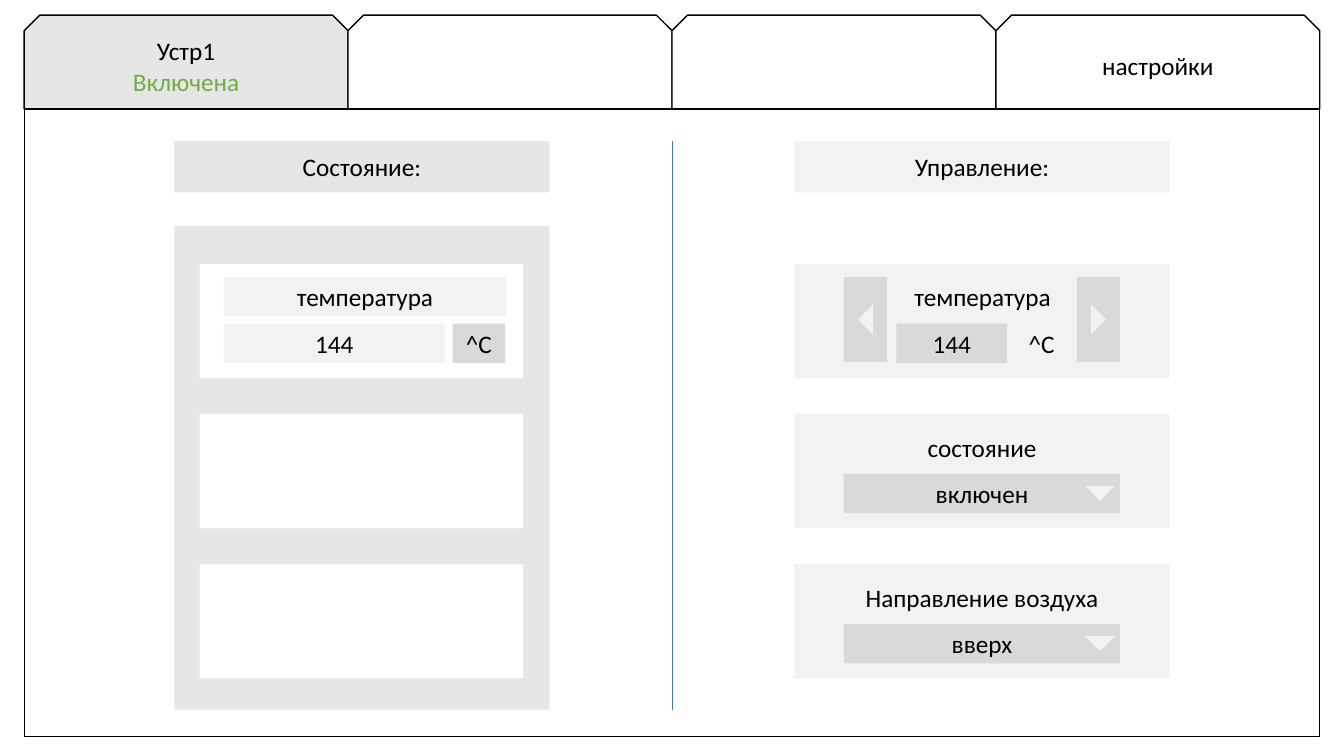
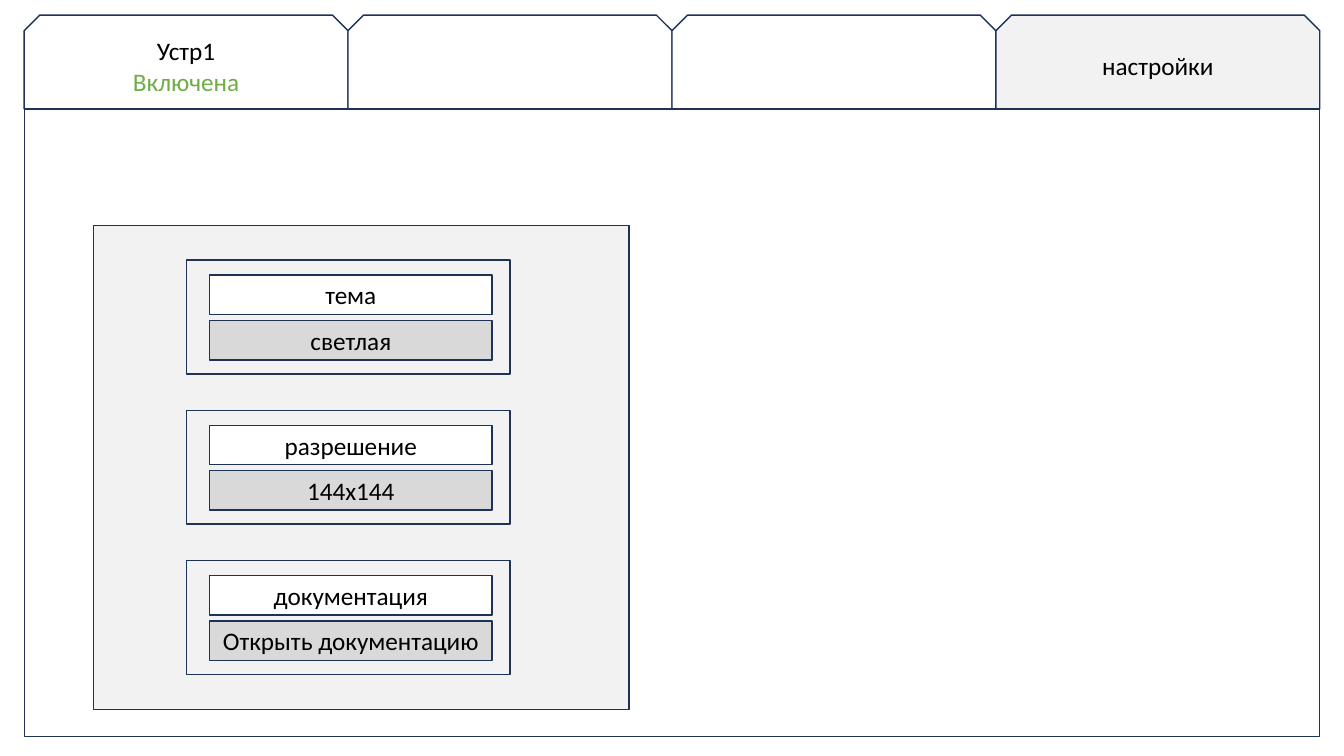
from pptx import Presentation
from pptx.dml.color import RGBColor
from pptx.enum.shapes import MSO_CONNECTOR, MSO_SHAPE
from pptx.enum.text import MSO_ANCHOR, PP_ALIGN
from pptx.util import Inches, Pt
from lxml import etree

RECTANGLE = MSO_SHAPE.RECTANGLE
TAB = MSO_SHAPE.SNIP_2_SAME_RECTANGLE
TRIANGLE = MSO_SHAPE.ISOSCELES_TRIANGLE
STRAIGHT = MSO_CONNECTOR.STRAIGHT
MIDDLE = MSO_ANCHOR.MIDDLE
CENTER = PP_ALIGN.CENTER

BLACK = RGBColor(0x00, 0x00, 0x00)
WHITE = RGBColor(0xFF, 0xFF, 0xFF)
PALE = RGBColor(0xF2, 0xF2, 0xF2)
LIGHT = RGBColor(0xE6, 0xE6, 0xE6)
GRAY = RGBColor(0xD9, 0xD9, 0xD9)
NAVY = RGBColor(0x1E, 0x32, 0x56)
BLUE = RGBColor(0x44, 0x72, 0xC4)
GREEN = RGBColor(0x70, 0xAD, 0x47)

FONT = "Calibri"
DRAWING = "http://schemas.openxmlformats.org/drawingml/2006/main"

FRAME_LEFT, FRAME_TOP, FRAME_WIDTH, FRAME_HEIGHT = 0.24, 1.08, 12.85, 6.23
TAB_TOP = 0.15
TABS = (("Устр1", "Включена"), (), (), ("настройки",))
GROUP_TOP, GROUP_HEIGHT = 2.24, 4.8
HEADING_TOP, HEADING_HEIGHT = 1.4, 0.51
COLUMN_WIDTH, STATE_LEFT, CONTROL_LEFT = 3.72, 1.73, 7.88
CARD_TOP, CARD_WIDTH, CARD_HEIGHT, CARD_STEP = 2.62, 3.21, 1.13, 1.49
FIELD_WIDTH, FIELD_HEIGHT = 2.8, 0.39
LABEL_OFFSET, VALUE_OFFSET = 0.13, 0.59
BUTTON_WIDTH, BUTTON_HEIGHT = 0.43, 0.84
ARROW_WIDTH, ARROW_HEIGHT = 0.3, 0.15


def add_box(slide, left, top, width, height, fill, lines=(), outline=None, kind=RECTANGLE):
    """Add a filled shape with optional outline and centred text lines."""
    shape = slide.shapes.add_shape(
        kind, Inches(left), Inches(top), Inches(width), Inches(height))
    shape.shadow.inherit = False
    shape.fill.solid()
    shape.fill.fore_color.rgb = fill
    if outline is None:
        shape.line.fill.background()
    else:
        shape.line.color.rgb = outline
        shape.line.width = Pt(1)
    frame = shape.text_frame
    frame.word_wrap = True
    frame.vertical_anchor = MIDDLE
    frame.margin_left = frame.margin_right = 0
    for index, line in enumerate(lines):
        paragraph = frame.add_paragraph() if index else frame.paragraphs[0]
        paragraph.text = line
        paragraph.alignment = CENTER
        paragraph.font.name = FONT
        paragraph.font.size = Pt(18)
        paragraph.font.color.rgb = GREEN if index else BLACK
    return shape


def add_arrow(slide, left, top, rotation):
    """Add a small pale triangle turned by the given angle."""
    arrow = add_box(slide, left, top, ARROW_WIDTH, ARROW_HEIGHT, PALE, kind=TRIANGLE)
    arrow.rotation = rotation


def add_divider(slide, x, top, bottom):
    """Add a thin vertical line without a shadow."""
    line = slide.shapes.add_connector(
        STRAIGHT, Inches(x), Inches(top), Inches(x), Inches(bottom))
    line.line.color.rgb = BLUE
    line.line.width = Pt(0.5)
    etree.SubElement(line._element.spPr, f"{{{DRAWING}}}effectLst")


def add_window(presentation, outline, active_tab, active_fill):
    """Add a slide with the window frame and its row of tabs."""
    slide = presentation.slides.add_slide(presentation.slide_layouts[6])
    add_box(slide, FRAME_LEFT, FRAME_TOP, FRAME_WIDTH, FRAME_HEIGHT, WHITE, outline=outline)
    tab_width = FRAME_WIDTH / len(TABS)
    for index, lines in enumerate(TABS):
        fill = active_fill if index == active_tab else WHITE
        add_box(slide, FRAME_LEFT + index * tab_width, TAB_TOP, tab_width,
                FRAME_TOP - TAB_TOP, fill, lines, outline, TAB)
    return slide


def add_state_column(slide):
    """Add the readings column with one filled and two empty cards."""
    add_box(slide, STATE_LEFT, HEADING_TOP, COLUMN_WIDTH, HEADING_HEIGHT, LIGHT, ["Состояние:"])
    add_box(slide, STATE_LEFT, GROUP_TOP, COLUMN_WIDTH, GROUP_HEIGHT, LIGHT)
    for index in range(3):
        add_box(slide, 1.98, CARD_TOP + index * CARD_STEP, CARD_WIDTH, CARD_HEIGHT, WHITE)
    value_top = CARD_TOP + VALUE_OFFSET
    add_box(slide, 2.22, CARD_TOP + LABEL_OFFSET, FIELD_WIDTH, FIELD_HEIGHT, PALE, ["температура"])
    add_box(slide, 2.22, value_top, 2.19, FIELD_HEIGHT, PALE, ["144"])
    add_box(slide, 4.49, value_top, 0.52, FIELD_HEIGHT, GRAY, ["^С"])


def add_stepper(slide, top):
    """Add the temperature control with its two arrow buttons."""
    label_top, value_top = top + LABEL_OFFSET, top + VALUE_OFFSET
    add_box(slide, CONTROL_LEFT, top, COLUMN_WIDTH, CARD_HEIGHT, PALE)
    add_box(slide, 8.89, label_top, 1.71, FIELD_HEIGHT, PALE, ["температура"])
    add_box(slide, 8.89, value_top, 1.1, FIELD_HEIGHT, GRAY, ["144"])
    add_box(slide, 10.07, value_top, 0.52, FIELD_HEIGHT, PALE, ["^С"])
    for left, rotation in ((8.37, 270), (10.68, 90)):
        add_box(slide, left, label_top, BUTTON_WIDTH, BUTTON_HEIGHT, GRAY)
        add_arrow(slide, left + (BUTTON_WIDTH - ARROW_WIDTH) / 2,
                  label_top + (BUTTON_HEIGHT - ARROW_HEIGHT) / 2, rotation)


def add_dropdown(slide, top, label, value):
    """Add a control card with a label and a drop-down field."""
    add_box(slide, CONTROL_LEFT, top, COLUMN_WIDTH, CARD_HEIGHT, PALE)
    for offset, fill, text in ((LABEL_OFFSET, PALE, label), (VALUE_OFFSET, GRAY, value)):
        add_box(slide, 8.37, top + offset, 2.74, FIELD_HEIGHT, fill, [text])
    add_arrow(slide, 10.76, top + 0.71, 180)


def add_control_column(slide):
    """Add the control heading, the stepper and the drop-downs."""
    add_box(slide, CONTROL_LEFT, HEADING_TOP, COLUMN_WIDTH, HEADING_HEIGHT, PALE, ["Управление:"])
    add_stepper(slide, CARD_TOP)
    dropdowns = (("состояние", "включен"), ("Направление воздуха", "вверх"))
    for index, (label, value) in enumerate(dropdowns, start=1):
        add_dropdown(slide, CARD_TOP + index * CARD_STEP, label, value)


def add_settings(slide):
    """Add the group of outlined setting cards."""
    add_box(slide, 0.93, GROUP_TOP, 5.31, GROUP_HEIGHT, PALE, outline=NAVY)
    settings = (("тема", "светлая"), ("разрешение", "144х144"),
                ("документация", "Открыть документацию"))
    for index, (label, value) in enumerate(settings):
        top = 2.58 + index * CARD_STEP
        add_box(slide, 1.85, top, CARD_WIDTH, CARD_HEIGHT, PALE, outline=NAVY)
        for offset, fill, text in ((0.15, WHITE, label), (0.6, GRAY, value)):
            add_box(slide, 2.08, top + offset, FIELD_WIDTH, FIELD_HEIGHT, fill, [text], NAVY)


def main():
    """Build the device and settings slides."""
    presentation = Presentation()
    presentation.slide_width = Inches(13.33)
    presentation.slide_height = Inches(7.5)
    device = add_window(presentation, BLACK, 0, LIGHT)
    add_state_column(device)
    add_control_column(device)
    add_divider(device, FRAME_LEFT + FRAME_WIDTH / 2, HEADING_TOP, GROUP_TOP + GROUP_HEIGHT)
    add_settings(add_window(presentation, NAVY, 3, PALE))
    presentation.save("out.pptx")


if __name__ == "__main__":
    main()
